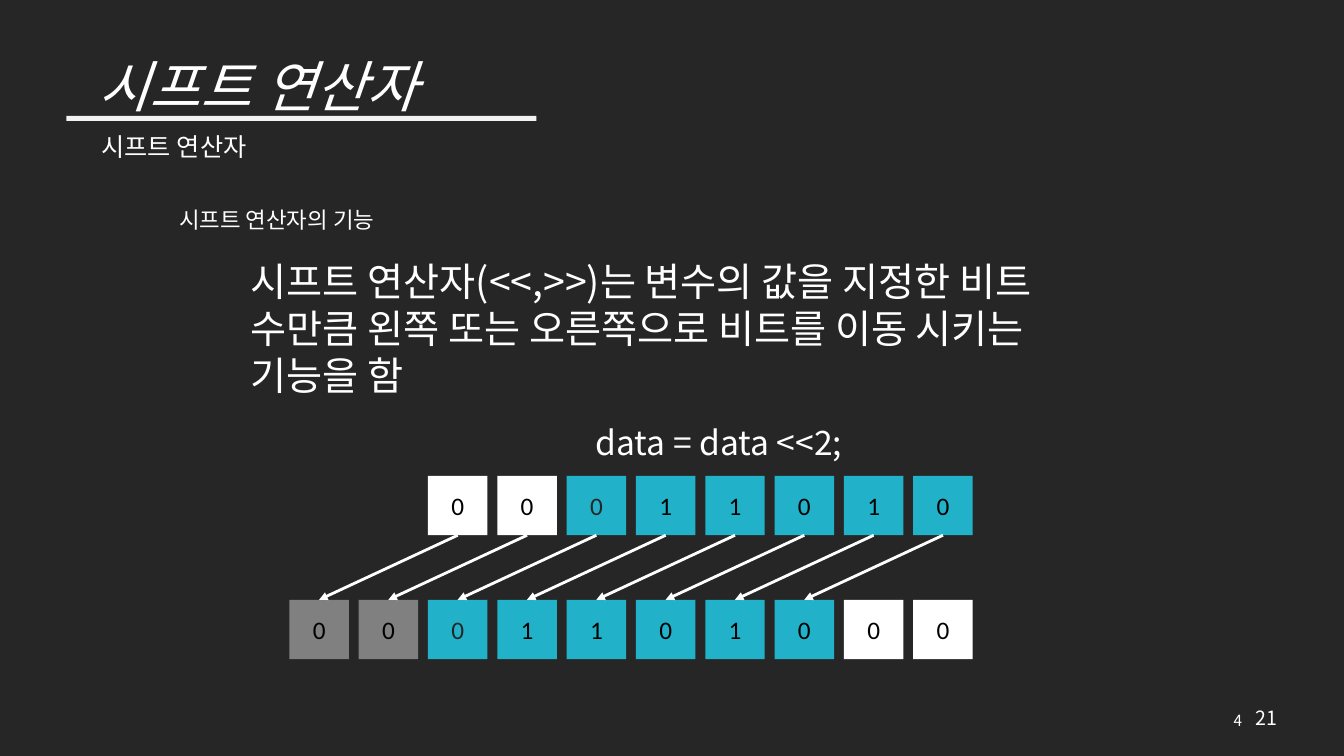
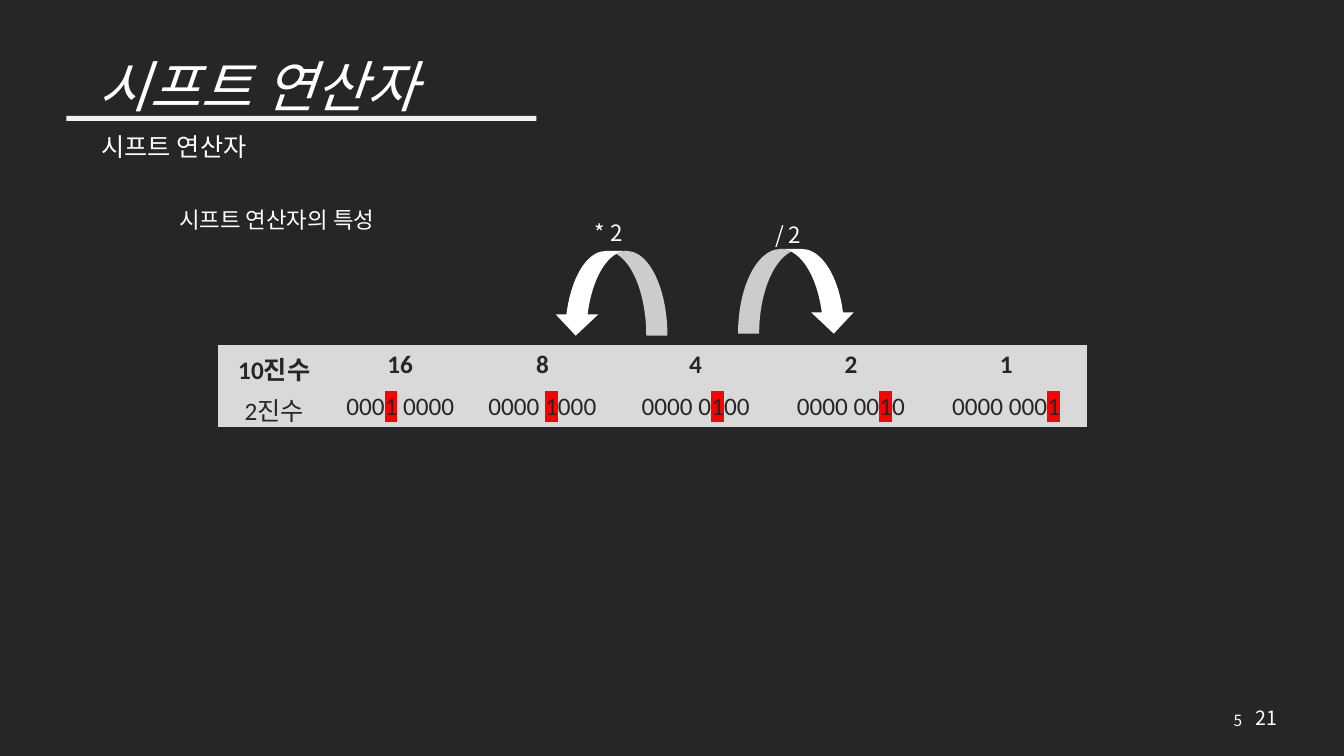
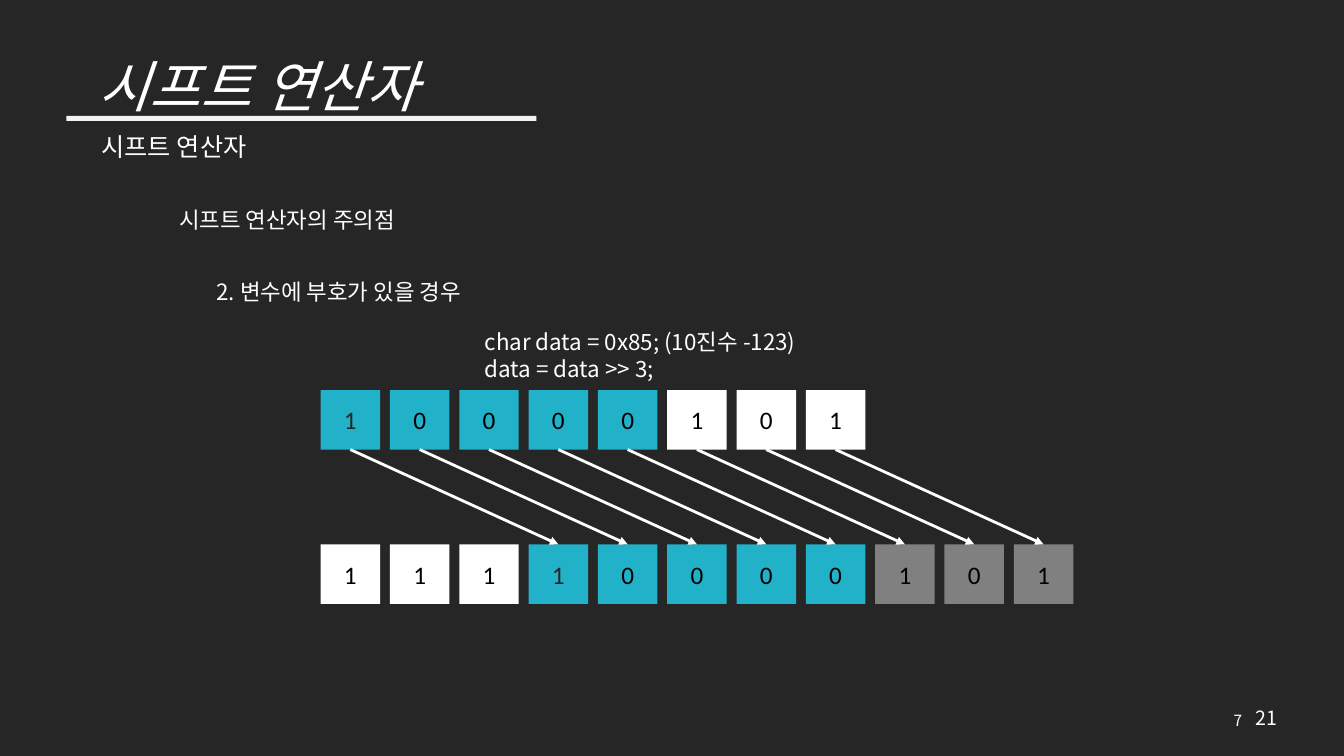
from dataclasses import dataclass

from lxml import etree
from pptx import Presentation
from pptx.dml.color import RGBColor
from pptx.enum.shapes import MSO_CONNECTOR, MSO_SHAPE
from pptx.enum.text import MSO_ANCHOR, MSO_AUTO_SIZE, PP_ALIGN
from pptx.oxml.ns import qn
from pptx.util import Inches, Pt

RECT, CURVED_ARROW = MSO_SHAPE.RECTANGLE, MSO_SHAPE.CURVED_DOWN_ARROW
STRAIGHT = MSO_CONNECTOR.STRAIGHT
TOP, MIDDLE = MSO_ANCHOR.TOP, MSO_ANCHOR.MIDDLE
LEFT, CENTER, RIGHT = PP_ALIGN.LEFT, PP_ALIGN.CENTER, PP_ALIGN.RIGHT
GROW = MSO_AUTO_SIZE.SHAPE_TO_FIT_TEXT
NO_GRID_STYLE = "{2D5ABB26-0587-4C30-8999-92F81FD0307C}"


@dataclass(frozen=True)
class Theme:
    dark: str = "262626"
    white: str = "FFFFFF"
    black: str = "000000"
    rule: str = "F2F2F2"
    kept: str = "21B2C9"
    lost: str = "808080"
    cell: str = "D9D9D9"
    mark: str = "FF0000"
    korean: str = "Noto Sans CJK KR"
    latin: str = "Calibri"
    title: float = 39.6
    statement: float = 28
    code: float = 24
    subtitle: float = 18
    label: float = 16
    total: float = 14
    page: float = 11


theme = Theme()


def write(frame, text, size=theme.label, font=theme.korean, color=theme.white, bold=False,
          italic=False, align=LEFT, spacing=None, mark=None):
    """Write one paragraph per line; highlight the first occurrence of mark."""
    for number, line in enumerate(text.split("\n")):
        paragraph = frame.add_paragraph() if number else frame.paragraphs[0]
        paragraph.alignment, paragraph.line_spacing = align, spacing
        for part in filter(None, line.partition(mark) if mark else [line]):
            run = paragraph.add_run()
            run.text = part
            run.font.size, run.font.name = Pt(size), font
            run.font.bold, run.font.italic = bold, italic
            run.font.color.rgb = RGBColor.from_string(color)
            latin = run.font._element.find(qn("a:latin"))
            east_asian = etree.Element(qn("a:ea"), typeface=theme.korean)
            latin.addnext(east_asian)
            if part == mark:
                highlight = etree.Element(qn("a:highlight"))
                etree.SubElement(highlight, qn("a:srgbClr"), val=theme.mark)
                latin.addprevious(highlight)


def place(slide, box, text="", kind=None, fill=None, wrap=True, anchor=TOP, grow=False, **style):
    """Place a text box, or a filled shape when a kind is given."""
    bounds = [Inches(length) for length in box]
    if kind is None:
        item = slide.shapes.add_textbox(*bounds)
    else:
        item = slide.shapes.add_shape(kind, *bounds)
        item.shadow.inherit = False
        item.fill.solid()
        item.fill.fore_color.rgb = RGBColor.from_string(fill)
        item.line.fill.background()
    frame = item.text_frame
    frame.word_wrap, frame.vertical_anchor = wrap, anchor
    if grow:
        frame.auto_size = GROW
    if text:
        write(frame, text, **style)
    return item


deck = Presentation()
deck.slide_width, deck.slide_height = Inches(13.33), Inches(7.5)
backdrop = deck.slide_master.background.fill
backdrop.solid()
backdrop.fore_color.rgb = RGBColor.from_string(theme.dark)

# Shared frame: title, rule, subtitle, heading, page numbers
slides = []
for page, topic in (("4", "기능"), ("5", "특성"), ("7", "주의점")):
    slide = deck.slides.add_slide(deck.slide_layouts[6])
    place(slide, (12.35, 6.95, 0.42, 0.34), "21", size=theme.total, wrap=False, grow=True)
    place(slide, (0.66, 0.57, 3.8, 0.63), "시프트 연산자", size=theme.title, italic=True,
          align=CENTER, spacing=0.9, anchor=MIDDLE)
    place(slide, (11.16, 6.95, 1.26, 0.4), page, size=theme.page, align=RIGHT, anchor=MIDDLE)
    place(slide, (0.66, 1.15, 4.66, 0.05), kind=RECT, fill=theme.rule)
    place(slide, (0.91, 1.25, 2.86, 0.4), "시프트 연산자", size=theme.subtitle,
          font=theme.latin, grow=True)
    place(slide, (1.68, 2, 2.5, 0.37), f"시프트 연산자의 {topic}", wrap=False, grow=True)
    slides.append(slide)
function_slide, property_slide, caution_slide = slides

# Function of the operator
place(function_slide, (2.39, 2.5, 8.08, 1.51),
      "시프트 연산자(<<,>>)는 변수의 값을 지정한 비트 수만큼 왼쪽 또는 오른쪽으로 비트를 이동 시키는 기능을 함",
      size=theme.statement, grow=True)
place(function_slide, (5.81, 4.14, 2.87, 0.5), "data = data <<2;", size=theme.code,
      wrap=False, grow=True)

# Caution with signed variables
place(caution_slide, (2.05, 2.71, 2.93, 0.37), "2. 변수에 부호가 있을 경우", wrap=False, grow=True)
place(caution_slide, (4.71, 3.21, 3.46, 0.64),
      "char data = 0x85; (10진수 -123)\ndata = data >> 3;", wrap=False, grow=True)

# Bit diagrams: K = kept, L = lost, F = free
BIT, PITCH = 0.59, 11 / 16
bit_fills = {"K": theme.kept, "L": theme.lost, "F": theme.white}
diagrams = (
    (function_slide, 2.87, 2, -2,
     (4.72, "00011010", "FFKKKKKK"), (5.95, "0001101000", "LLKKKKKKFF")),
    (caution_slide, 3.18, 0, 3,
     (3.87, "10000101", "KKKKKFFF"), (5.4, "11110000101", "FFFKKKKKLLL")),
)
for slide, left, indent, shift, before, after in diagrams:
    for (top, bits, states), first_column in ((before, indent), (after, 0)):
        for index, (bit, state) in enumerate(zip(bits, states)):
            place(slide, (left + (first_column + index) * PITCH, top, BIT, BIT), bit,
                  kind=RECT, fill=bit_fills[state], anchor=MIDDLE, align=CENTER,
                  size=theme.subtitle, font=theme.latin,
                  color=theme.dark if index == states.index("K") else theme.black)
    for column in range(indent, indent + len(before[1])):
        start = left + column * PITCH + BIT / 2
        move = slide.shapes.add_connector(
            STRAIGHT, Inches(start), Inches(before[0] + BIT),
            Inches(start + shift * PITCH), Inches(after[0]))
        move.line.color.rgb = RGBColor.from_string(theme.white)
        move.line.width = Pt(2)
        etree.SubElement(move.line._get_or_add_ln(), qn("a:tailEnd"), type="triangle")
        etree.SubElement(move._element.spPr, qn("a:effectLst"))

# Property: table of decimal and binary values
rows = (("10진수", "16", "8", "4", "2", "1"),
        ("2진수", "0001 0000", "0000 1000", "0000 0100", "0000 0010", "0000 0001"))
widths = (1.12, 1.38, 1.44, 1.6, 1.48, 1.6)
values = property_slide.shapes.add_table(
    len(rows), len(widths), Inches(2.16), Inches(3.42), Inches(sum(widths)), Inches(0.82)).table
values.first_row = values.horz_banding = False
values._tbl.tblPr.find(qn("a:tableStyleId")).text = NO_GRID_STYLE
for column, width in zip(values.columns, widths):
    column.width = Inches(width)
for r, row in enumerate(rows):
    for c, value in enumerate(row):
        cell = values.cell(r, c)
        cell.fill.solid()
        cell.fill.fore_color.rgb = RGBColor.from_string(theme.cell)
        write(cell.text_frame, value, size=theme.subtitle, font=theme.latin, color=theme.dark,
              bold=r == 0, align=CENTER, mark="1" if r else None)

# Property: doubling and halving arrows
doubling = place(property_slide, (5.5, 2.49, 1.12, 0.84), kind=CURVED_ARROW, fill=theme.white)
doubling._element.spPr.find(qn("a:xfrm")).set("flipH", "1")
place(property_slide, (7.32, 2.47, 1.16, 0.84), kind=CURVED_ARROW, fill=theme.white)
place(property_slide, (5.8, 2.13, 0.5, 0.37), "* 2", wrap=False, grow=True)
place(property_slide, (7.59, 2.14, 0.49, 0.37), "/ 2", wrap=False, grow=True)

deck.save("out.pptx")
